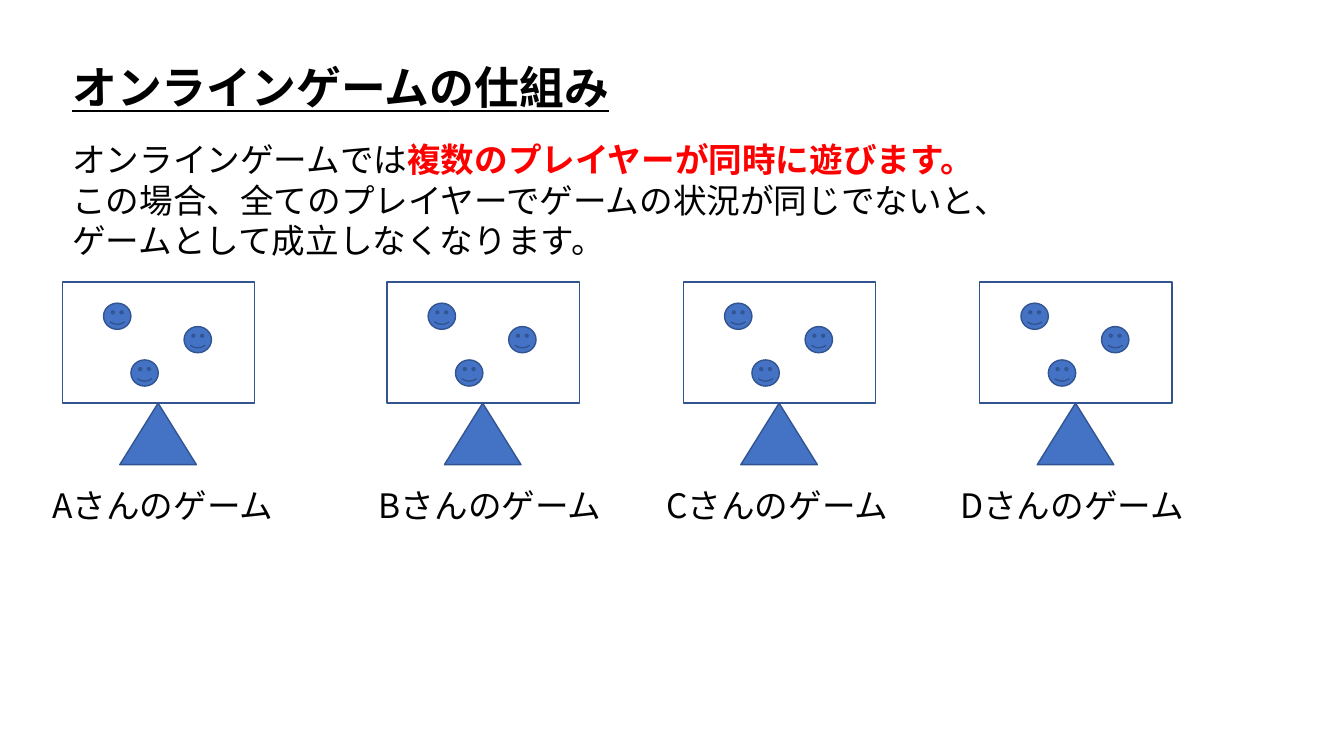
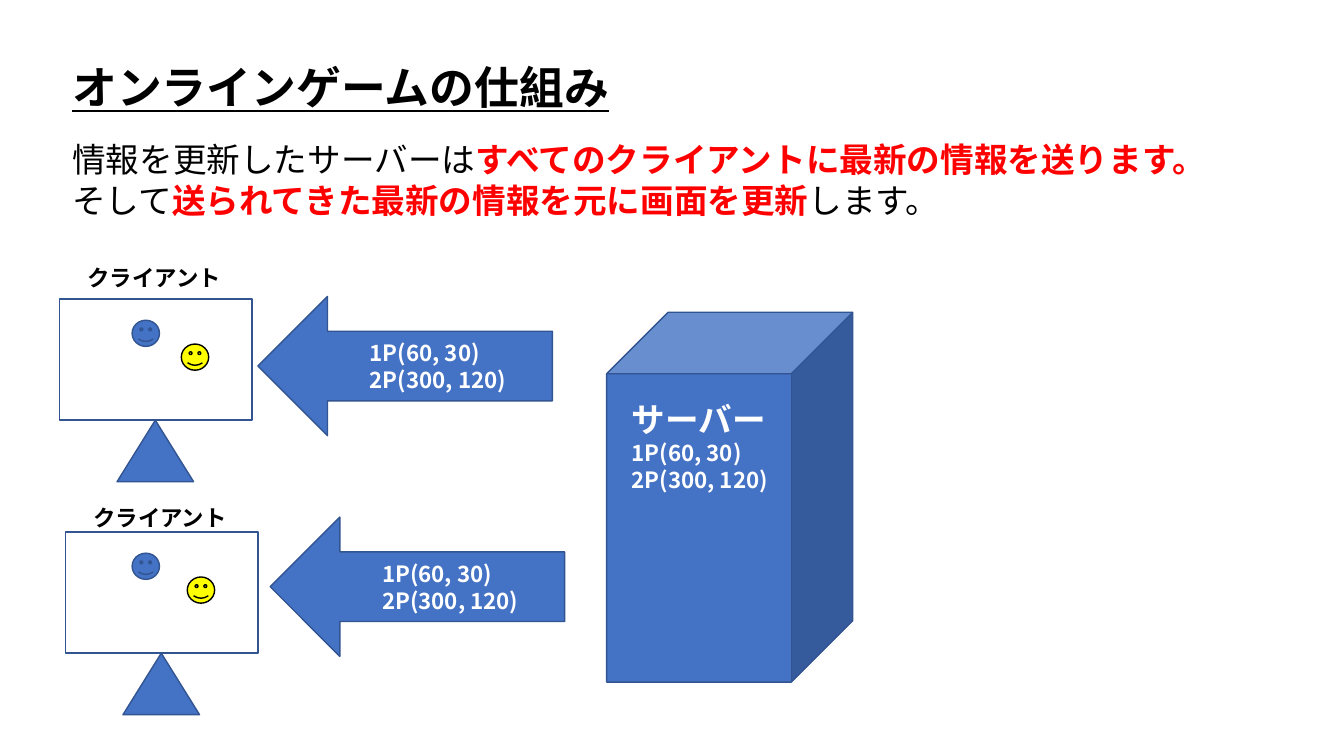
from lxml.etree import SubElement
from pptx import Presentation
from pptx.dml.color import RGBColor
from pptx.enum.shapes import MSO_SHAPE as Kind
from pptx.enum.text import MSO_ANCHOR as Anchor, MSO_AUTO_SIZE as Fit, PP_ALIGN as Align
from pptx.oxml.ns import qn
from pptx.util import Cm, Pt

FACE = "Noto Sans CJK JP"
HUES = {"ink": "000000", "red": "FF0000", "blue": "4472C4", "edge": "325491",
        "gold": "FFFF00", "white": "FFFFFF"}
TITLE = "オンラインゲームの仕組み"
SPOTS = ["1P(60, 30)", "2P(300, 120)"]


def hue(name):
    return RGBColor.from_string(HUES[name])


def place(item, box):
    item.left, item.top, item.width, item.height = map(Cm, box)


def style(par, size, color="ink", bold=False, line=False, indent=0):
    par.alignment = Align.LEFT
    par.space_before = Pt(0)
    par.line_spacing = Pt(size * 1.2)
    props = par._p.get_or_add_pPr()
    props.set("marL", str(Pt(indent)))
    props.set("indent", "0")
    SubElement(props, qn("a:buNone"))
    font = par.font
    font.size, font.bold, font.underline = Pt(size), bold, line
    font.color.rgb = hue(color)
    font.name = FACE
    SubElement(props.find(qn("a:defRPr")), qn("a:ea"), typeface=FACE)


def write(frame, lines, sizes, **looks):
    """Each line is a list of texts; every second text is stressed."""
    frame.word_wrap = True
    frame.auto_size = Fit.NONE
    for i, (line, size) in enumerate(zip(lines, sizes)):
        par = frame.add_paragraph() if i else frame.paragraphs[0]
        style(par, size, **looks)
        for j, text in enumerate(line):
            if not text:
                continue
            run = par.add_run()
            run.text = text
            if j % 2:
                run.font.bold = True
                run.font.color.rgb = hue("red")


def label(slide, box, lines, sizes, **looks):
    item = slide.shapes.add_textbox(*map(Cm, box))
    write(item.text_frame, [[line] for line in lines], sizes, **looks)


def shape(slide, kind, box, fill="blue", edge="edge"):
    item = slide.shapes.add_shape(kind, *map(Cm, box))
    item.shadow.inherit = False
    if fill:
        item.fill.solid()
        item.fill.fore_color.rgb = hue(fill)
    else:
        item.fill.background()
    item.line.color.rgb = hue(edge)
    item.line.width = Pt(1)
    return item


def page(deck, lines):
    # Title and lead text
    slide = deck.slides.add_slide(deck.slide_layouts[1])
    head, body = slide.placeholders
    place(head, (1.57, 1.37, 16, 1.63))
    place(body, (1.57, 3.38, 30, 3.33))
    for item in (head, body):
        item.text_frame.vertical_anchor = Anchor.TOP
    write(head.text_frame, [[TITLE]], [32], bold=True, line=True)
    write(body.text_frame, lines, [24] * len(lines))
    return slide


def screen(slide, x, y, faces):
    # Monitor on its stand, with the players on it
    shape(slide, Kind.ISOSCELES_TRIANGLE, (x + 1.45, y + 3.05, 1.93, 1.55))
    shape(slide, Kind.RECTANGLE, (x, y, 4.85, 3.05), None)
    for dx, dy, fill, edge in faces:
        shape(slide, Kind.SMILEY_FACE, (x + dx, y + dy, 0.69, 0.66), fill, edge)


def arrow(slide, x, y):
    item = shape(slide, Kind.LEFT_ARROW, (x, y, 7.42, 3.51))
    item.text_frame.vertical_anchor = Anchor.MIDDLE
    write(item.text_frame, [[spot] for spot in SPOTS], [16, 16],
          color="white", bold=True, indent=48)


def server(slide, x, y):
    shape(slide, Kind.CUBE, (x, y, 6.2, 9.32))
    label(slide, (x + 0.38, y + 2.06, 4.3, 2.64), ["サーバー"] + SPOTS,
          [24, 16, 16], color="white", bold=True)


def games(deck):
    slide = page(deck, [
        ["オンラインゲームでは", "複数のプレイヤーが同時に遊びます。"],
        ["この場合、全てのプレイヤーでゲームの状況が同じでないと、"],
        ["ゲームとして成立しなくなります。"]])
    faces = [(dx, dy, "blue", "edge")
             for dx, dy in ((1.04, 0.53), (1.73, 1.96), (3.07, 1.12))]
    for name, x, left in (("A", 1.57, 1.07), ("B", 9.75, 9.3),
                          ("C", 17.22, 16.54), ("D", 24.69, 23.95)):
        screen(slide, x, 7.11, faces)
        label(slide, (left, 12.09, 6.2, 1.27), [name + "さんのゲーム"], [24])


def update(deck):
    slide = page(deck, [
        ["情報を更新したサーバーは", "すべてのクライアントに最新の情報を送ります。"],
        ["そして", "送られてきた最新の情報を元に画面を更新", "します。"]])
    # Clients: screen, first face, label top, arrow
    for x, y, dx, top, tip, high in ((1.5, 7.54, 1.83, 6.53, 6.5, 7.47),
                                     (1.65, 13.41, 1.68, 12.57, 6.81, 13.03)):
        screen(slide, x, y, [(dx, 0.53, "blue", "edge"),
                             (3.07, 1.13, "gold", "ink")])
        label(slide, (x + 0.46, top, 4.2, 0.94), ["クライアント"], [16], bold=True)
        arrow(slide, tip, high)
    server(slide, 15.29, 7.87)


def main():
    deck = Presentation()
    deck.slide_width, deck.slide_height = Cm(33.87), Cm(19.05)
    games(deck)
    update(deck)
    deck.save("out.pptx")


if __name__ == "__main__":
    main()
